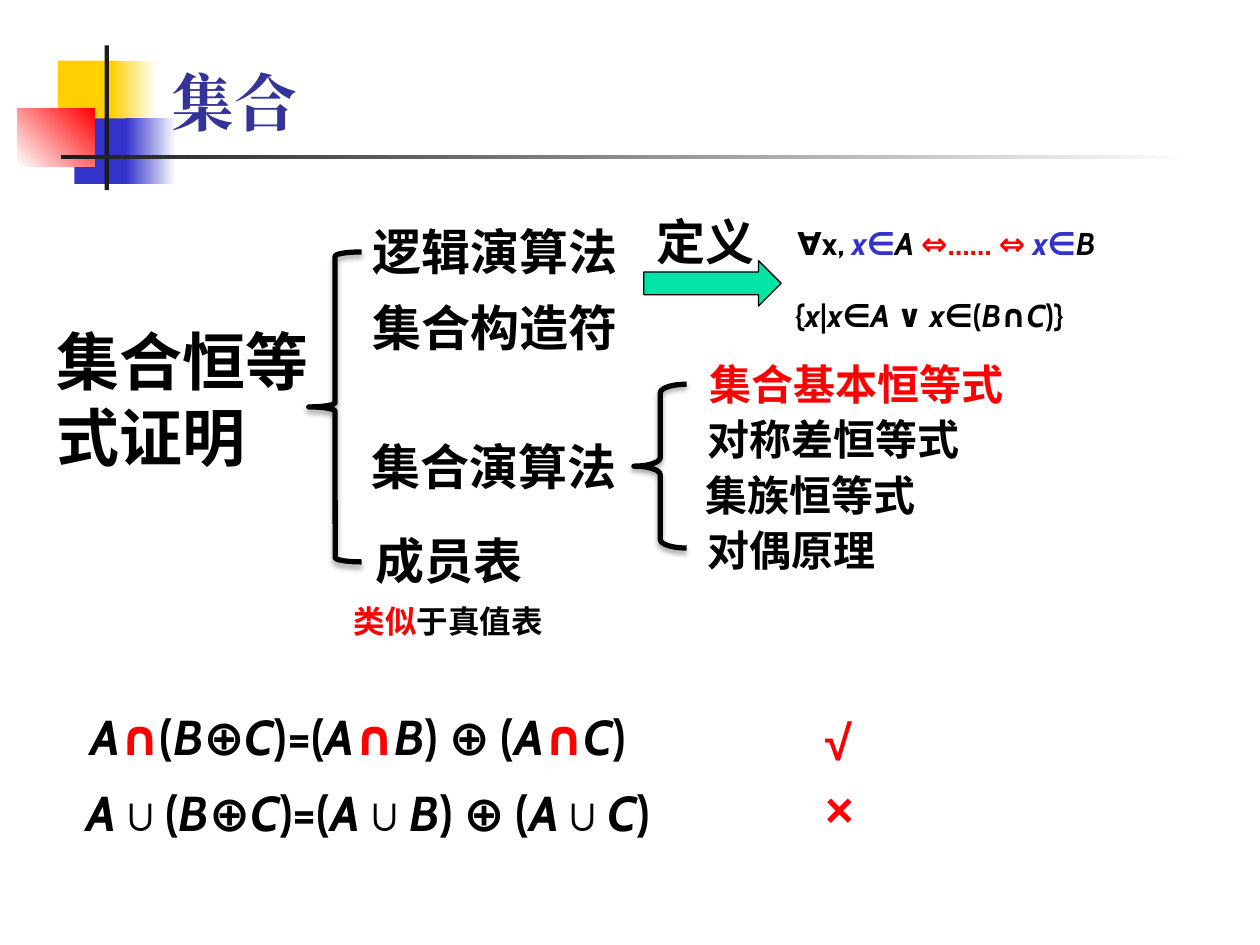
from lxml import etree
from pptx import Presentation
from pptx.dml.color import RGBColor
from pptx.enum.shapes import MSO_SHAPE
from pptx.enum.text import MSO_ANCHOR, MSO_AUTO_SIZE
from pptx.oxml.ns import qn
from pptx.util import Pt

RECTANGLE = MSO_SHAPE.RECTANGLE
LEFT_BRACE = MSO_SHAPE.LEFT_BRACE
RIGHT_ARROW = MSO_SHAPE.RIGHT_ARROW
BOTTOM = MSO_ANCHOR.BOTTOM
TOP = MSO_ANCHOR.TOP
FIT_SHAPE = MSO_AUTO_SIZE.SHAPE_TO_FIT_TEXT

BLACK, WHITE, RED, BLUE = "000000", "FFFFFF", "FF0000", "3333CC"
YELLOW, DARK, GREEN, TITLE_BLUE = "FFCF01", "1C1C1C", "00E4A8", "333399"
SANS, SERIF, SYMBOL = "Cabin", "Times New Roman", "Arial"

DECORATION = [
    ((33.1, 34.6, 34.6, 37.4), [YELLOW], 0),
    ((63.4, 34.6, 25.9, 37.4), [YELLOW, WHITE], 0),
    ((42.5, 67.7, 33.1, 37.4), [BLUE], 0),
    ((72, 67.7, 28.8, 37.4), [BLUE, WHITE], 0),
    ((10, 61.9, 44, 33.1), [WHITE, RED], 45),
    ((59.8, 25.9, 2.5, 82.8), [DARK], 0),
    ((34.6, 88.6, 648, 2.2), [DARK, WHITE], 0),
]

BRACES = [
    ((176.4, 144, 30.2, 177.1), 0.08),
    ((362.2, 219.6, 30.2, 93.6), 0.16),
]

ARROW = (367.9, 149, 78.5, 25.9)

METHODS = [
    ("逻辑演算法", 205.9, 123.1, 154.8),
    ("集合构造符", 205.9, 166.3, 154.8),
    ("集合演算法", 205.2, 246.2, 154.8),
    ("成员表", 207.4, 299.5, 98.6),
    ("定义", 367.9, 117.4, 70.6),
]

IDENTITIES = [
    ("集合基本恒等式", 398.2, 201.6, 182.9, RED),
    ("对称差恒等式", 397.4, 232.6, 159.1, BLACK),
    ("集族恒等式", 396, 265, 134.6, BLACK),
    ("对偶原理", 397.4, 295.9, 110.9, BLACK),
]

MARKS = [("√", 464.4, 403.2, 29.5), ("×", 464.4, 441.4, 42.5)]

DEFINITION = [
    ("∀x, ", {}), ("x", {"color": BLUE, "italic": True}), ("∈", {"color": BLUE}),
    ("A", {"italic": True}), (" ⇔…… ⇔", {"color": RED}),
    (" x", {"color": BLUE, "italic": True}), ("∈", {"color": BLUE}),
    ("B", {"italic": True}),
]
BUILDER = ["{", "x", "|", "x", "∈", "A ", "∨ ", "x", "∈(", "B", "∩", "C", ")}"]
SIMILAR = [("类似", {"color": RED}), ("于真值表", {})]


def rgb(value):
    return RGBColor.from_string(value)


def add_shape(page, kind, place, colors=(), angle=0):
    shape = page.shapes.add_shape(kind, *map(Pt, place))
    shape.shadow.inherit = False
    shape.line.fill.background()
    if not colors:
        shape.fill.background()
    elif len(colors) == 1:
        shape.fill.solid()
        shape.fill.fore_color.rgb = rgb(colors[0])
    else:
        shape.fill.gradient()
        shape.fill.gradient_angle = angle
        for stop, color in zip(shape.fill.gradient_stops, colors):
            stop.color.rgb = rgb(color)
    return shape


def outline(shape, width):
    shape.line.color.rgb = rgb(BLACK)
    shape.line.width = Pt(width)


def add_brace(page, place, curve):
    brace = add_shape(page, LEFT_BRACE, place)
    brace.adjustments[0] = curve
    outline(brace, 3)
    effects = brace._element.spPr.find(qn("a:effectLst"))
    shadow = etree.SubElement(effects, qn("a:outerShdw"), blurRad=str(Pt(3.1)),
                              dist=str(Pt(1.8)), dir="5400000", rotWithShape="0")
    color = etree.SubElement(shadow, qn("a:srgbClr"), val=BLACK)
    etree.SubElement(color, qn("a:alpha"), val="35000")


def add_text(page, place, spans, size, wrap=False, anchor=TOP, grow=True):
    box = page.shapes.add_textbox(*map(Pt, place))
    frame = box.text_frame
    frame.word_wrap = wrap
    frame.vertical_anchor = anchor
    if grow:
        frame.auto_size = FIT_SHAPE
    for text, style in spans:
        span = frame.paragraphs[0].add_run()
        span.text = text
        font = span.font
        font.size = Pt(size)
        font.bold = True
        font.italic = style.get("italic", False)
        font.color.rgb = rgb(style.get("color", BLACK))
        font.name = style.get("font", SANS)
        etree.SubElement(span._r.rPr, qn("a:ea"), typeface=font.name)


def math_spans(parts, operator=None, style=None):
    return [(part, style if part == operator else {"italic": part.strip().isalpha()})
            for part in parts]


def distribution(operator, style):
    parts = ["A", operator, "(", "B", "⊕", "C", ")=(", "A", operator, "B",
             ") ⊕ (", "A", operator, "C", ")"]
    return math_spans(parts, operator, style)


def main():
    deck = Presentation()
    deck.slide_width, deck.slide_height = Pt(720), Pt(540)
    page = deck.slides.add_slide(deck.slide_layouts[6])

    for place, colors, angle in DECORATION:
        add_shape(page, RECTANGLE, place, colors, angle)
    add_text(page, (90.7, 5.8, 613.4, 77), [("集合", {"color": TITLE_BLUE, "font": SERIF})],
             36, wrap=True, anchor=BOTTOM, grow=False)
    add_text(page, (25.2, 180.7, 166.3, 94.3), [("集合恒等式证明", {})], 36, wrap=True)

    for place, curve in BRACES:
        add_brace(page, place, curve)
    outline(add_shape(page, RIGHT_ARROW, ARROW, [GREEN]), 0.75)

    for text, left, top, width in METHODS:
        add_text(page, (left, top, width, 41), [(text, {})], 28)
    for text, left, top, width, color in IDENTITIES:
        add_text(page, (left, top, width, 36), [(text, {"color": color})], 24)

    add_text(page, (448.6, 124.6, 219.6, 28.8), DEFINITION, 18)
    add_text(page, (447.1, 165.6, 204.5, 28.8), math_spans(BUILDER), 18)
    add_text(page, (195.1, 340.6, 123.1, 28.8), SIMILAR, 18)

    add_text(page, (44.6, 400.3, 366.5, 41), distribution("∩", {"color": RED}), 28)
    add_text(page, (42.5, 443.5, 390.2, 41), distribution("∪", {"font": SERIF}), 28)
    for text, left, top, width in MARKS:
        add_text(page, (left, top, width, 41), [(text, {"color": RED, "font": SYMBOL})], 28)

    deck.save("out.pptx")


if __name__ == "__main__":
    main()
